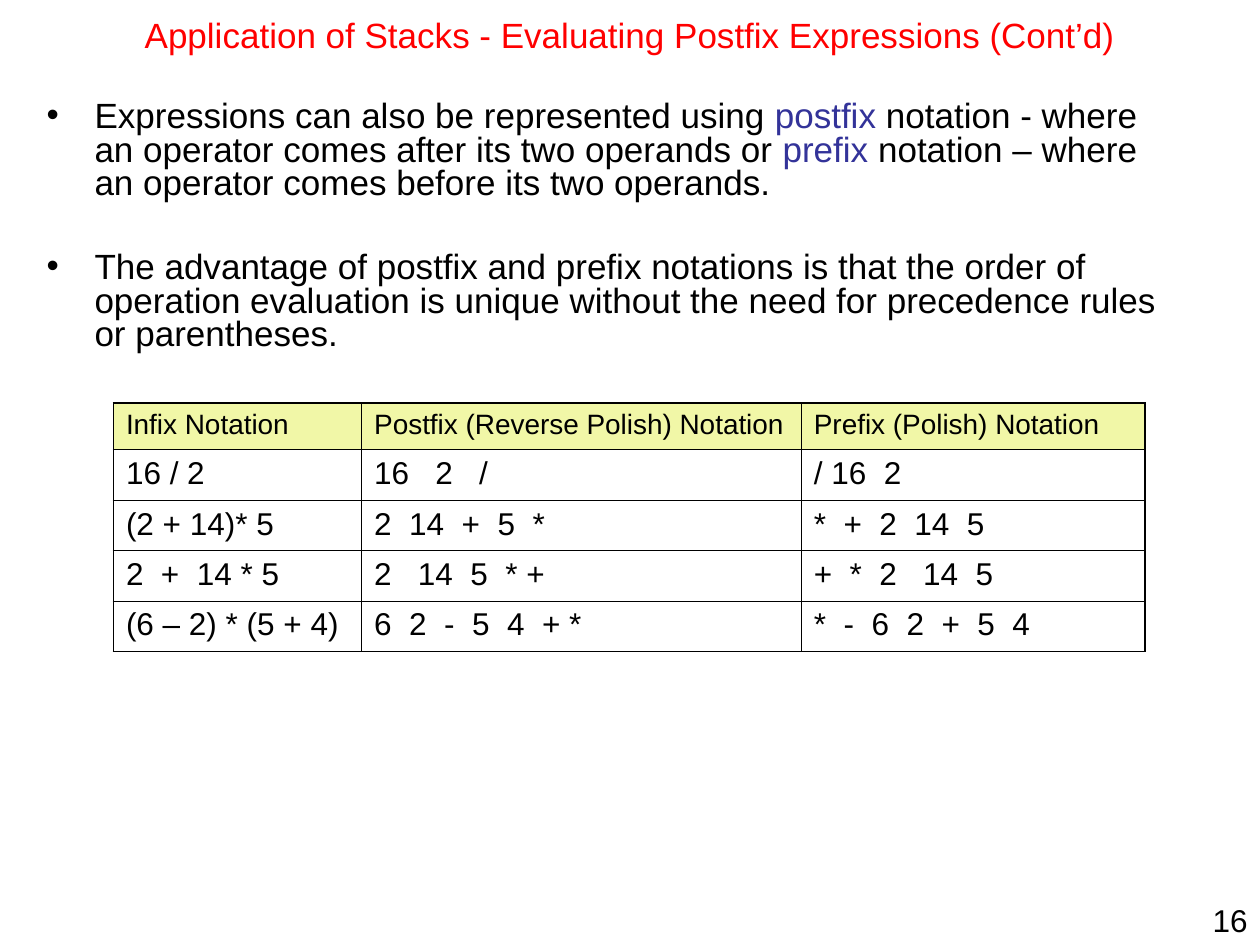
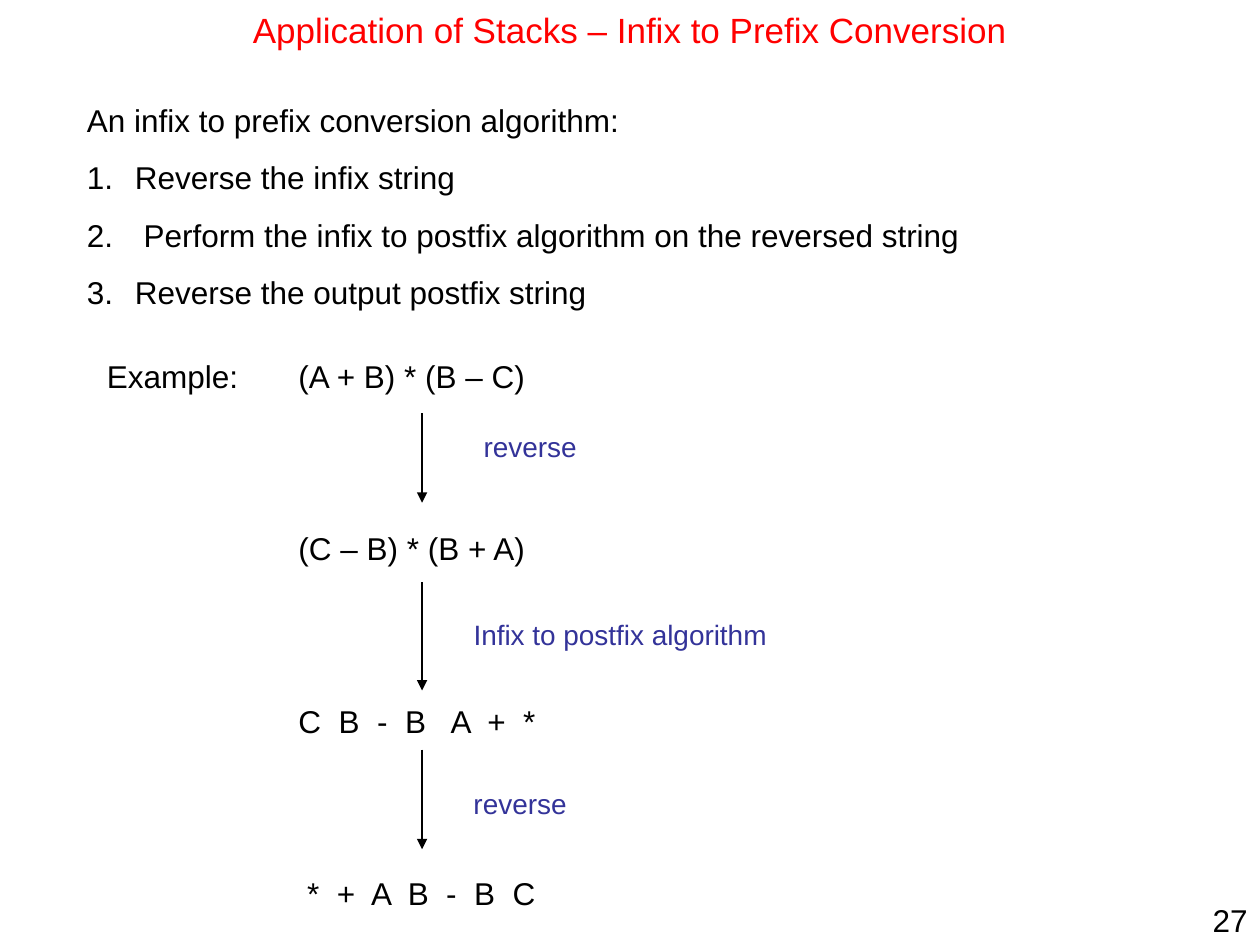
"""Two slides on postfix and prefix notation and infix to prefix conversion."""
from pptx import Presentation
from pptx.dml.color import RGBColor
from pptx.enum.shapes import MSO_CONNECTOR as Connector
from pptx.enum.text import MSO_ANCHOR as Anchor, MSO_AUTO_SIZE as AutoSize, PP_ALIGN as Align
from pptx.oxml.ns import qn
from pptx.util import Pt
from lxml.etree import SubElement

PX = 9144
BLACK = RGBColor(0x00, 0x00, 0x00)
RED = RGBColor(0xFF, 0x00, 0x00)
INDIGO = RGBColor(0x33, 0x33, 0x99)
HEADER_YELLOW = RGBColor(0xF1, 0xF7, 0xA7)
FONT = "Arial"
HANGING = 38 * PX
THICK, THIN = Pt(1.08), Pt(0.45)


def add_run(paragraph, text, size, color=BLACK):
    run = paragraph.add_run()
    run.text = text
    run.font.name = FONT
    run.font.size = Pt(size)
    run.font.color.rgb = color


def prepare_frame(shape, left, top, width, height, anchor):
    shape.left, shape.top = left * PX, top * PX
    shape.width, shape.height = width * PX, height * PX
    frame = shape.text_frame
    frame.word_wrap = True
    frame.auto_size = AutoSize.NONE
    frame.vertical_anchor = anchor
    return frame


prs = Presentation()
prs.slide_width, prs.slide_height = 1000 * PX, 750 * PX

slides = []
for heading, top, height, number in (
    ("Application of Stacks - Evaluating Postfix Expressions (Cont’d)", 0, 55, "16"),
    ("Application of Stacks – Infix to Prefix Conversion", 13, 21, "27"),
):
    slide = prs.slides.add_slide(prs.slide_layouts[1])
    title = prepare_frame(slide.shapes.title, 0, top, 1000, height, Anchor.MIDDLE).paragraphs[0]
    title.alignment = Align.CENTER
    add_run(title, heading, 20, RED)
    page_box = slide.shapes.add_textbox(0, 0, 0, 0)
    page = prepare_frame(page_box, 929, 710, 71, 40, Anchor.TOP).paragraphs[0]
    page.alignment = Align.RIGHT
    add_run(page, number, 18)
    slides.append(slide)
notation_slide, conversion_slide = slides

points = (
    (
        ("Expressions can also be represented using ", BLACK),
        ("postfix ", INDIGO),
        ("notation - where an operator comes after its two operands or ", BLACK),
        ("prefix", INDIGO),
        (" notation – where an operator comes before its two operands.", BLACK),
    ),
    (
        ("The advantage of postfix and prefix notations is that the order of operation "
         "evaluation is unique without the need for precedence rules or parentheses.", BLACK),
    ),
)
points_frame = prepare_frame(notation_slide.placeholders[1], 27, 76, 915, 228, Anchor.TOP)
for index, pieces in enumerate(points):
    point = points_frame.add_paragraph() if index else points_frame.paragraphs[0]
    point.line_spacing = Pt(19.2)
    point.space_before = Pt(28.8 if index else 0)
    props = point._p.get_or_add_pPr()
    props.set("marL", str(HANGING))
    props.set("indent", str(-HANGING))
    SubElement(props, qn("a:buChar"), char="•")
    for text, color in pieces:
        add_run(point, text, 20, color)

notations = (
    ("Infix Notation", "Postfix (Reverse Polish) Notation", "Prefix (Polish) Notation"),
    ("16 / 2", "16   2   /", "/ 16  2"),
    ("(2 + 14)* 5", "2  14  +  5  *", "*  +  2  14  5"),
    ("2  +  14 * 5", "2   14  5  * +", "+  *  2   14  5"),
    ("(6 – 2) * (5 + 4)", "6  2  -  5  4  + *", "*  -  6  2  +  5  4"),
)
last_row, last_column = len(notations) - 1, len(notations[0]) - 1
table = notation_slide.shapes.add_table(
    last_row + 1, last_column + 1, 90 * PX, 320 * PX, 819 * PX, 197 * PX
).table
table.first_row = table.horz_banding = False
for column, width in zip(table.columns, (197, 349, 273)):
    column.width = width * PX
for r, expressions in enumerate(notations):
    table.rows[r].height = (40 if r else 37) * PX
    for c, expression in enumerate(expressions):
        cell = table.cell(r, c)
        add_run(cell.text_frame.paragraphs[0], expression, 18 if r else 16)
        cell_props = cell._tc.get_or_add_tcPr()
        for side, outer in (
            ("L", c == 0), ("R", c == last_column), ("T", r == 0), ("B", r == last_row)
        ):
            border = SubElement(cell_props, qn(f"a:ln{side}"), w=str(THICK if outer else THIN))
            SubElement(SubElement(border, qn("a:solidFill")), qn("a:srgbClr"), val=str(BLACK))
        if r:
            cell.fill.background()
        else:
            cell.fill.solid()
            cell.fill.fore_color.rgb = HEADER_YELLOW

steps = (
    "An infix to prefix conversion algorithm:",
    "Reverse the infix string",
    " Perform the infix to postfix algorithm on the reversed string",
    "Reverse the output postfix string",
)
steps_frame = prepare_frame(conversion_slide.placeholders[1], 59, 75, 795, 177, Anchor.MIDDLE)
for index, text in enumerate(steps):
    step = steps_frame.add_paragraph() if index else steps_frame.paragraphs[0]
    step.line_spacing = Pt(21.6)
    step.space_before = Pt(11.2 if index else 0)
    props = step._p.get_or_add_pPr()
    props.set("marL", str(HANGING))
    props.set("indent", str(-HANGING))
    if index:
        SubElement(props, qn("a:buAutoNum"), type="arabicPeriod")
    else:
        SubElement(props, qn("a:buNone"))
    add_run(step, text, 18)

stages = (
    "Example:\t(A + B) * (B – C)",
    "\t(C – B) * (B + A)",
    "\tC  B  -  B   A  +  *",
    "\t *  +  A  B  -  B  C",
)
example_box = conversion_slide.shapes.add_textbox(0, 0, 0, 0)
example_frame = prepare_frame(example_box, 75, 278, 471, 451, Anchor.MIDDLE)
for index, text in enumerate(stages):
    stage = example_frame.add_paragraph() if index else example_frame.paragraphs[0]
    stage.line_spacing = Pt(21.6)
    stage.space_before = Pt(76.8 if index else 0)
    tabs = SubElement(stage._p.get_or_add_pPr(), qn("a:tabLst"))
    SubElement(tabs, qn("a:tab"), pos=str(152 * PX), algn="l")
    add_run(stage, text, 18)

for start, end, action, left, top, width in (
    (328, 399, "reverse", 374, 336, 173),
    (462, 548, "Infix to postfix algorithm", 366, 485, 268),
    (595, 674, "reverse", 366, 619, 173),
):
    arrow = conversion_slide.shapes.add_connector(
        Connector.STRAIGHT, 335 * PX, start * PX, 335 * PX, end * PX
    )
    arrow.line.color.rgb = BLACK
    arrow.line.width = Pt(0.75)
    SubElement(arrow.line._get_or_add_ln(), qn("a:tailEnd"), type="triangle")
    SubElement(arrow._element.spPr, qn("a:effectLst"))
    action_box = conversion_slide.shapes.add_textbox(0, 0, 0, 0)
    action_frame = prepare_frame(action_box, left, top, width, 37, Anchor.MIDDLE)
    add_run(action_frame.paragraphs[0], action, 16, INDIGO)

prs.save("out.pptx")
